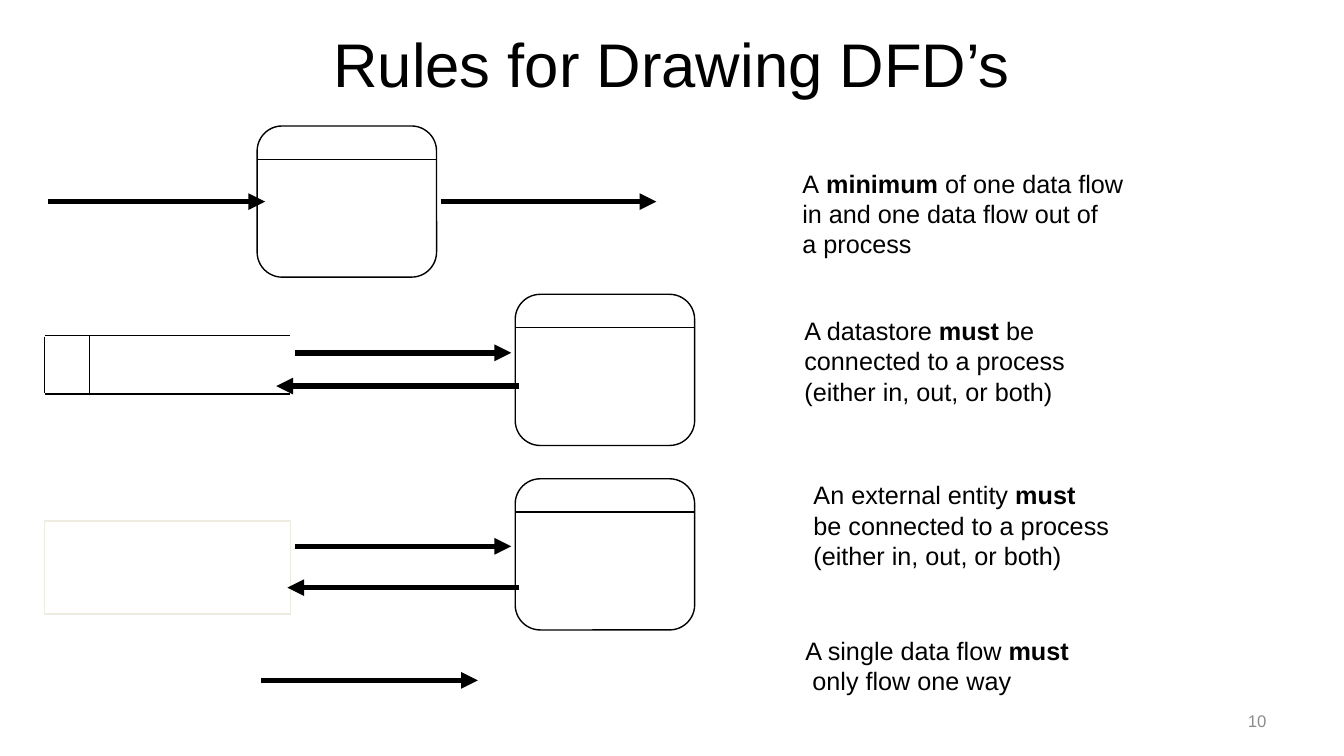
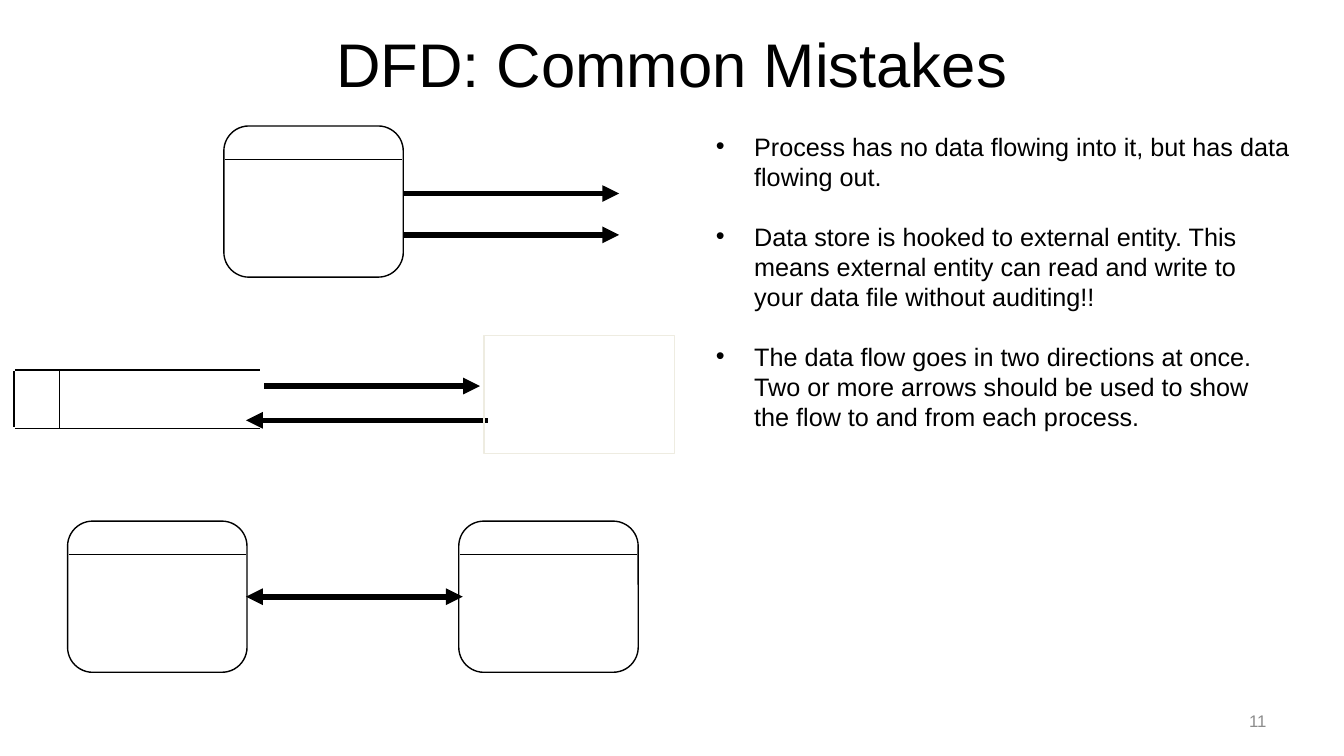
import dataclasses

import pptx
import pptx.dml.color
import pptx.enum.shapes
import pptx.enum.text
import pptx.oxml.ns
import pptx.util
from lxml import etree

EMU_PER_PX = 9144  # 100 px to the inch
SLIDE_SIZE = (1333, 750)


@dataclasses.dataclass(frozen=True)
class Theme:
    font: str = "Arial"
    ink: str = "000000"
    entity_line: str = "EEECE1"
    muted: str = "8C8C8C"
    title_size: int = 44
    text_size: int = 18
    number_size: int = 12
    bullet_gap: float = 21
    thin: float = 0.75
    outline: float = 1
    flow: float = 4


THEME = Theme()

# Shared geometry, in px
TITLE_BOX = (100, 0, 1133, 125)
NUMBER_BOX = (955, 695, 311, 40)
PROCESS_SIZE = (178, 150)
PROCESS_HEADER = 33
PROCESS_CORNER = 0.166
STORE_SIZE = (244, 58)
STORE_DIVIDER = 45
RULE_WIDTH = 360
BULLET_BOX = (700, 125, 589, 517)
BULLET_INDENT = 38

# Diagram parts from back to front: kind, then
#   process and store: left, top
#   entity: left, top, width, height
#   flow: from x, to x, y; two_way has a head at both ends
RULES = {
    "number": 10,
    "title": "Rules for Drawing DFD’s",
    "parts": [
        ("entity", 44, 517, 244, 92),
        ("flow", 293, 507, 542),
        ("store", 44, 333),
        ("flow", 437, 651, 200),
        ("flow", 48, 263, 200),
        ("flow", 293, 507, 350),
        ("process", 255, 125),
        ("process", 511, 292),
        ("process", 511, 475),
        ("flow", 515, 285, 583),
        ("flow", 515, 274, 383),
        ("flow", 259, 474, 675),
    ],
    # left, top, height, lines of (text, bold) runs
    "notes": [
        (786, 162, 101, [
            [("A", False), (" minimum", True), (" of one data flow", False)],
            [("in and one data flow out of", False)],
            [("a process", False)]]),
        (788, 308, 101, [
            [("A datastore ", False), ("must ", True), ("be", False)],
            [("connected to a process", False)],
            [("(either in, out, or both)", False)]]),
        (797, 471, 101, [
            [("An external entity ", False), ("must", True)],
            [("be connected to a process", False)],
            [("(either in, out, or both)", False)]]),
        (789, 625, 70, [
            [("A single data flow ", False), ("must", True)],
            [(" only flow one way", False)]]),
    ],
}

MISTAKES = {
    "number": 11,
    "title": "DFD: Common Mistakes",
    "parts": [
        ("store", 14, 367),
        ("flow", 400, 614, 233),
        ("flow", 400, 614, 192),
        ("flow", 262, 476, 383),
        ("process", 222, 125),
        ("flow", 484, 244, 417),
        ("two_way", 244, 459, 592),
        ("entity", 480, 333, 189, 117),
        ("process", 455, 517),
        ("process", 67, 517),
    ],
    "bullets": [
        "Process has no data flowing into it, but has data flowing out.",
        "Data store is hooked to external entity. This means external entity "
        "can read and write to your data file without auditing!!",
        "The data flow goes in two directions at once. Two or more arrows "
        "should be used to show the flow to and from each process.",
    ],
}


def px(*lengths):
    return [pptx.util.Emu(length * EMU_PER_PX) for length in lengths]


def color(value):
    return pptx.dml.color.RGBColor.from_string(value)


# Text
def add_run(para, text, size, bold=False, ink=THEME.ink):
    span = para.add_run()
    span.text = text
    span.font.name = THEME.font
    span.font.size = pptx.util.Pt(size)
    span.font.bold = bold
    span.font.color.rgb = color(ink)


def next_para(frame, index):
    return frame.add_paragraph() if index else frame.paragraphs[0]


def place(holder, box):
    holder.left, holder.top, holder.width, holder.height = px(*box)
    holder.text_frame.auto_size = pptx.enum.text.MSO_AUTO_SIZE.NONE
    return holder.text_frame


def add_text_box(page, box):
    frame = page.shapes.add_textbox(*px(*box)).text_frame
    frame.word_wrap = True
    return frame


def add_note(page, left, top, height, lines):
    frame = add_text_box(page, (left, top, RULE_WIDTH, height))
    for index, line in enumerate(lines):
        para = next_para(frame, index)
        for text, bold in line:
            add_run(para, text, THEME.text_size, bold)


def fill_bullets(page, bullets):
    frame = place(page.placeholders[1], BULLET_BOX)
    indent = px(BULLET_INDENT)[0]
    for index, text in enumerate(bullets):
        para = next_para(frame, index)
        properties = para._p.get_or_add_pPr()
        properties.set("marL", str(indent))
        properties.set("indent", str(-indent))
        para.space_before = pptx.util.Pt(THEME.bullet_gap if index else 0)
        add_run(para, text, THEME.text_size)


# Diagram parts
def add_line(shapes, start, end, width):
    line = shapes.add_connector(
        pptx.enum.shapes.MSO_CONNECTOR.STRAIGHT, *px(*start, *end))
    line.line.color.rgb = color(THEME.ink)
    line.line.width = pptx.util.Pt(width)
    etree.SubElement(line._element.spPr, pptx.oxml.ns.qn("a:effectLst"))
    return line


def add_outline(shapes, kind, box, ink):
    shape = shapes.add_shape(kind, *px(*box))
    shape.shadow.inherit = False
    shape.fill.background()
    shape.line.color.rgb = color(ink)
    shape.line.width = pptx.util.Pt(THEME.outline)
    return shape


def add_process(page, left, top):
    width, height = PROCESS_SIZE
    shapes = page.shapes.add_group_shape().shapes
    body = add_outline(shapes, pptx.enum.shapes.MSO_SHAPE.ROUNDED_RECTANGLE,
                       (left, top, width, height), THEME.ink)
    body.adjustments[0] = PROCESS_CORNER
    header = top + PROCESS_HEADER
    add_line(shapes, (left + 1, header), (left + width - 1, header),
             THEME.outline)


def add_store(page, left, top):
    width, height = STORE_SIZE
    shapes = page.shapes.add_group_shape().shapes
    bottom = top + height
    for y in (top, bottom):
        add_line(shapes, (left + 1, y), (left + width, y), THEME.outline)
    add_line(shapes, (left, top + 1), (left, bottom - 1), THEME.outline)
    divider = left + STORE_DIVIDER
    add_line(shapes, (divider, top), (divider, bottom), THEME.thin)


def add_entity(page, *box):
    add_outline(page.shapes, pptx.enum.shapes.MSO_SHAPE.RECTANGLE, box,
                THEME.entity_line)


def add_flow(page, start, end, y, ends=("tailEnd",)):
    line = add_line(page.shapes, (start, y), (end, y), THEME.flow)
    stroke = line.line._get_or_add_ln()
    for name in ends:
        etree.SubElement(stroke, pptx.oxml.ns.qn("a:" + name), type="triangle")


def add_two_way(page, start, end, y):
    add_flow(page, start, end, y, ("headEnd", "tailEnd"))


DRAW = {"process": add_process, "store": add_store, "entity": add_entity,
        "flow": add_flow, "two_way": add_two_way}


# Slides
def add_page(deck, content):
    layout = 1 if "bullets" in content else 5
    page = deck.slides.add_slide(deck.slide_layouts[layout])

    title = place(page.shapes.title, TITLE_BOX)
    title.vertical_anchor = pptx.enum.text.MSO_ANCHOR.MIDDLE
    title.paragraphs[0].alignment = pptx.enum.text.PP_ALIGN.CENTER
    add_run(title.paragraphs[0], content["title"], THEME.title_size)

    for kind, *geometry in content["parts"]:
        DRAW[kind](page, *geometry)
    for note in content.get("notes", []):
        add_note(page, *note)
    if "bullets" in content:
        fill_bullets(page, content["bullets"])

    number = add_text_box(page, NUMBER_BOX)
    number.vertical_anchor = pptx.enum.text.MSO_ANCHOR.MIDDLE
    number.paragraphs[0].alignment = pptx.enum.text.PP_ALIGN.RIGHT
    add_run(number.paragraphs[0], str(content["number"]), THEME.number_size,
            ink=THEME.muted)


def main():
    deck = pptx.Presentation()
    deck.slide_width, deck.slide_height = px(*SLIDE_SIZE)
    for content in (RULES, MISTAKES):
        add_page(deck, content)
    deck.save("out.pptx")


if __name__ == "__main__":
    main()
